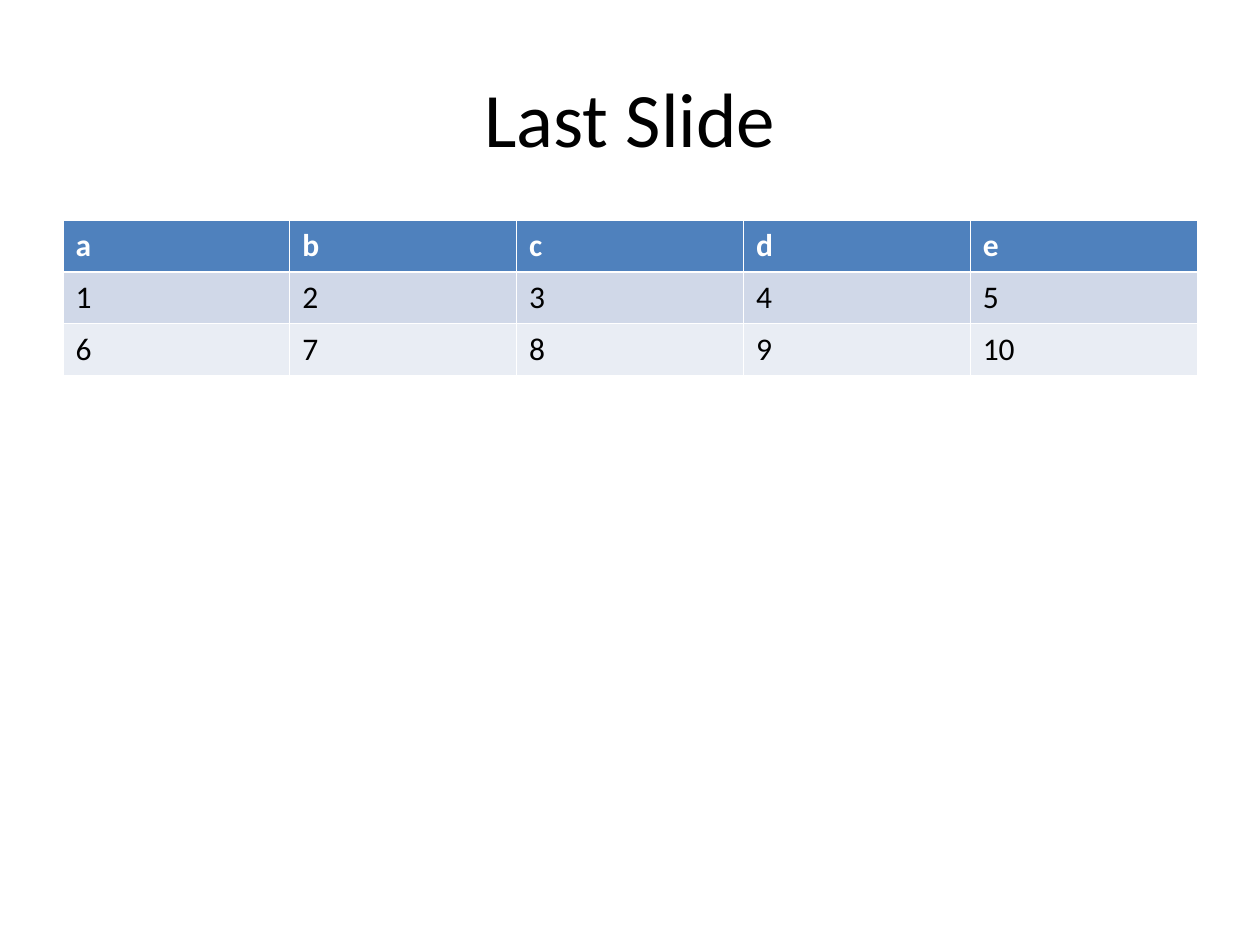
from lxml import etree
from pptx import Presentation
from pptx.dml.color import RGBColor
from pptx.enum.text import MSO_ANCHOR, PP_ALIGN
from pptx.oxml.ns import qn
from pptx.util import Inches, Pt

MIDDLE = MSO_ANCHOR.MIDDLE
CENTER, LEFT = PP_ALIGN.CENTER, PP_ALIGN.LEFT
TITLE_ONLY = 5

TITLE = "Last Slide"
ROWS = [
    ["a", "b", "c", "d", "e"],
    ["1", "2", "3", "4", "5"],
    ["6", "7", "8", "9", "10"],
]
ROW_FILLS = ["4F81BD", "D0D8E8", "E9EDF4"]
TITLE_BOX = {"left": 0.5, "top": 0.3, "width": 9, "height": 1.25}
TABLE_LEFT, TABLE_TOP, TABLE_WIDTH, ROW_HEIGHT = 0.5, 1.75, 9, 0.41
TITLE_FONT = {"name": "Calibri", "size": Pt(44), "bold": False}
HEADER_FONT = {"name": "Calibri", "size": Pt(18), "bold": True}
BODY_FONT = {**HEADER_FONT, "bold": False}
THIN, THICK = 0.45, 1.47


def paint(color_format, hex_color):
    color_format.rgb = RGBColor.from_string(hex_color)


def write(paragraph, text, font_format, hex_color, alignment):
    paragraph.alignment = alignment
    run = paragraph.add_run()
    run.text = text
    for attribute, value in font_format.items():
        setattr(run.font, attribute, value)
    paint(run.font.color, hex_color)


def add_borders(cell, widths, hex_color):
    properties = cell._tc.get_or_add_tcPr()
    for side, width in widths.items():
        line = etree.SubElement(properties, qn(f"a:ln{side}"), w=str(Pt(width)))
        fill = etree.SubElement(line, qn("a:solidFill"))
        etree.SubElement(fill, qn("a:srgbClr"), val=hex_color)


def add_title(slide):
    title = slide.shapes.title
    for attribute, value in TITLE_BOX.items():
        setattr(title, attribute, Inches(value))
    title.text_frame.vertical_anchor = MIDDLE
    write(title.text_frame.paragraphs[0], TITLE, TITLE_FONT, "000000", CENTER)


def add_number_table(slide):
    frame = slide.shapes.add_table(
        len(ROWS), len(ROWS[0]), Inches(TABLE_LEFT), Inches(TABLE_TOP),
        Inches(TABLE_WIDTH), Inches(ROW_HEIGHT * len(ROWS)))
    table = frame.table
    for row_index, (labels, row_fill) in enumerate(zip(ROWS, ROW_FILLS)):
        is_header = row_index == 0
        widths = {"L": THIN, "R": THIN,
                  "T": THICK if row_index == 1 else THIN,
                  "B": THICK if is_header else THIN}
        font_format = HEADER_FONT if is_header else BODY_FONT
        text_color = "FFFFFF" if is_header else "000000"
        for column_index, label in enumerate(labels):
            cell = table.cell(row_index, column_index)
            add_borders(cell, widths, "FFFFFF")
            cell.fill.solid()
            paint(cell.fill.fore_color, row_fill)
            write(cell.text_frame.paragraphs[0], label, font_format, text_color, LEFT)


def main():
    """Build the closing slide with its title and table of numbers."""
    presentation = Presentation()
    presentation.slide_width, presentation.slide_height = Inches(10), Inches(7.5)
    slide = presentation.slides.add_slide(presentation.slide_layouts[TITLE_ONLY])
    add_title(slide)
    add_number_table(slide)
    presentation.save("out.pptx")


if __name__ == "__main__":
    main()
